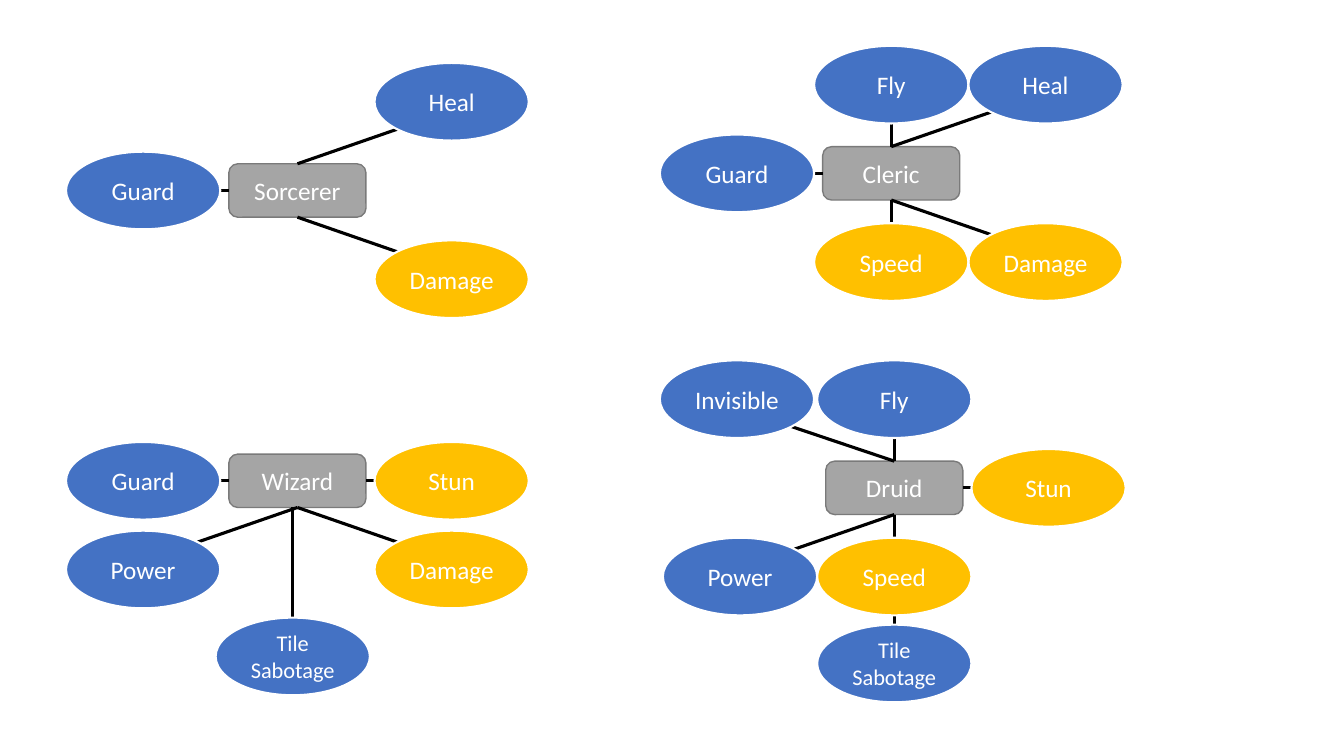
from dataclasses import dataclass
from math import sqrt

from lxml.etree import SubElement
from pptx import Presentation
from pptx.dml.color import RGBColor
from pptx.enum.shapes import MSO_CONNECTOR as Connector, MSO_SHAPE as Preset
from pptx.enum.text import MSO_ANCHOR as Anchor, PP_ALIGN as Align
from pptx.oxml.ns import qn
from pptx.util import Inches, Pt


@dataclass(frozen=True)
class Theme:
    font: str = "Calibri"
    text: str = "FFFFFF"
    hub: str = "A5A5A5"
    hub_edge: str = "7A7A7A"
    support: str = "4472C4"
    attack: str = "FFC000"
    oval_edge: str = "FFFFFF"
    spoke: str = "000000"
    label_size: float = 18
    long_label_size: float = 16
    hub_edge_width: float = 1
    oval_edge_width: float = 1.5
    spoke_width: float = 2.25


THEME = Theme()

# Grid pitch and element sizes, in inches
COLUMN, ROW = 1.53, 0.88
HUB_SIZE = (1.36, 0.53)
OVAL_SIZE = (1.53, 0.77)
TOP, LEFT, BOTTOM, RIGHT = range(4)

ATTACKS = {"Damage", "Speed", "Stun"}

# Class, hub centre, and abilities as (label, columns, rows) from the hub
CLASSES = [
    ("Sorcerer", (2.95, 1.89),
     [("Heal", 1, -1), ("Damage", 1, 1), ("Guard", -1, 0)]),
    ("Cleric", (8.84, 1.72),
     [("Fly", 0, -1), ("Heal", 1, -1), ("Damage", 1, 1),
      ("Guard", -1, 0), ("Speed", 0, 1)]),
    ("Wizard", (2.95, 4.77),
     [("Stun", 1, 0), ("Damage", 1, 1), ("Guard", -1, 0),
      ("Power", -1, 1), ("Tile Sabotage", -0.03, 1.98)]),
    ("Druid", (8.87, 4.84),
     [("Fly", 0, -1), ("Stun", 1, 0), ("Power", -1, 1),
      ("Invisible", -1.02, -1), ("Tile Sabotage", 0, 1.98),
      ("Speed", 0, 1)]),
]


def color(value):
    return RGBColor.from_string(value)


def sign(value):
    return (value > 0) - (value < 0)


def add_label(shapes, preset, center, size, label, fill, edge, edge_width):
    """Draw a filled shape around its centre with a centred label."""
    left, top = (c - s / 2 for c, s in zip(center, size))
    node = shapes.add_shape(preset, Inches(left), Inches(top),
                            *map(Inches, size))
    node.shadow.inherit = False
    node.fill.solid()
    node.fill.fore_color.rgb = color(fill)
    node.line.color.rgb = color(edge)
    node.line.width = Pt(edge_width)

    frame = node.text_frame
    frame.text = label
    frame.word_wrap = True
    frame.vertical_anchor = Anchor.MIDDLE
    paragraph = frame.paragraphs[0]
    paragraph.alignment = Align.CENTER
    font = paragraph.runs[0].font
    font.name = THEME.font
    font.size = Pt(THEME.long_label_size if " " in label
                   else THEME.label_size)
    font.color.rgb = color(THEME.text)
    return node


def add_hub(shapes, name, center):
    return add_label(shapes, Preset.ROUNDED_RECTANGLE, center, HUB_SIZE, name,
                     THEME.hub, THEME.hub_edge, THEME.hub_edge_width)


def add_ability(shapes, ability, center):
    fill = THEME.attack if ability in ATTACKS else THEME.support
    return add_label(shapes, Preset.OVAL, center, OVAL_SIZE, ability,
                     fill, THEME.oval_edge, THEME.oval_edge_width)


def add_spoke(shapes, hub, hub_center, oval_center, columns, rows):
    """Run a line from a side of the hub to the facing edge of an oval."""
    across, down = sign(round(columns)), sign(round(rows))
    reach = 1 / sqrt(2) if across and down else 1
    end = (oval_center[0] - across * reach * OVAL_SIZE[0] / 2,
           oval_center[1] - down * reach * OVAL_SIZE[1] / 2)
    # A spoke to an oval slightly off the hub's axis drops straight down
    off_axis = across == 0 and columns != 0
    start = (oval_center[0] if off_axis else hub_center[0],
             hub_center[1] + down * HUB_SIZE[1] / 2)
    spoke = shapes.add_connector(Connector.STRAIGHT,
                                 *map(Inches, start + end))
    if not off_axis:
        if down:
            side = BOTTOM if down > 0 else TOP
        else:
            side = RIGHT if across > 0 else LEFT
        spoke.begin_connect(hub, side)
    spoke.line.color.rgb = color(THEME.spoke)
    spoke.line.width = Pt(THEME.spoke_width)
    SubElement(spoke._element.spPr, qn("a:effectLst"))


def add_class(slide, name, center, abilities):
    """Group a class hub with its spokes and, above them, its abilities."""
    shapes = slide.shapes.add_group_shape().shapes
    hub = add_hub(shapes, name, center)
    places = [(center[0] + columns * COLUMN, center[1] + rows * ROW)
              for _, columns, rows in abilities]
    for (_, columns, rows), place in zip(abilities, places):
        add_spoke(shapes, hub, center, place, columns, rows)
    for (ability, _, _), place in zip(abilities, places):
        add_ability(shapes, ability, place)


def main():
    deck = Presentation()
    deck.slide_width, deck.slide_height = Inches(13.33), Inches(7.5)
    slide = deck.slides.add_slide(deck.slide_layouts.get_by_name("Blank"))
    for name, center, abilities in CLASSES:
        add_class(slide, name, center, abilities)
    deck.save("out.pptx")


if __name__ == "__main__":
    main()
